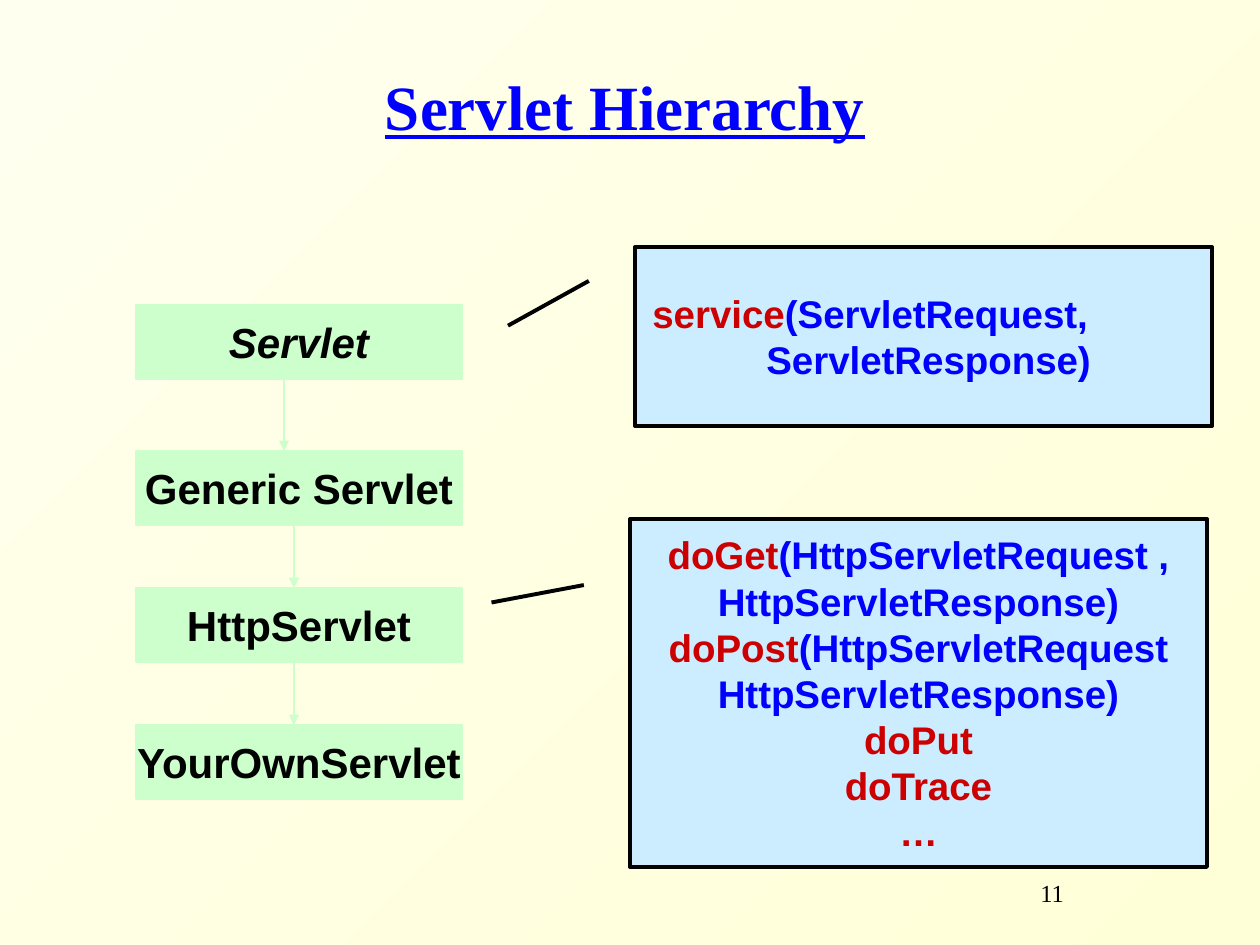
from pptx import Presentation
from pptx.dml.color import RGBColor
from pptx.enum.shapes import MSO_CONNECTOR as Connector, MSO_SHAPE as Shape
from pptx.enum.text import MSO_ANCHOR as Anchor, PP_ALIGN as Align
from pptx.oxml.ns import qn
from pptx.util import Emu, Pt
from lxml.etree import SubElement

COLORS = {
    "class": "CCFFCC",
    "callout": "CCECFF",
    "method": "CC0000",
    "blue": "0000FF",
    "black": "000000",
    "bg_dark": "FFFFD7",
    "bg_light": "FFFFEF",
}
BOX_LEFT, BOX_WIDTH, BOX_HEIGHT = 136, 326, 74
HIERARCHY = [
    ("YourOwnServlet", 725, 294),
    ("HttpServlet", 588, 294),
    ("Generic Servlet", 451, 284),
    ("Servlet", 305, None),
]
SERVICE = [[("service", "method"), ("(ServletRequest, ServletResponse)", "blue")]]
HTTP_METHODS = [
    [("doGet", "method"), ("(HttpServletRequest , HttpServletResponse)", "blue")],
    [("doPost", "method"), ("(HttpServletRequest HttpServletResponse)", "blue")],
    [("doPut", "method")],
    [("doTrace", "method")],
    [("…", "method")],
]


def px(length):
    return Emu(round(length * 914400 / 126))


def rgb(name):
    return RGBColor.from_string(COLORS[name])


def write(shape, paragraphs, size, font="Arial", align=Align.CENTER, anchor=Anchor.MIDDLE,
          bold=True, italic=False, underline=False, wrap=True, inset=6,
          margin=0, indent=0, spacing=None):
    frame = shape.text_frame
    frame.word_wrap = wrap
    frame.vertical_anchor = anchor
    frame.margin_top = frame.margin_bottom = px(inset)
    for index, pieces in enumerate(paragraphs):
        paragraph = frame.paragraphs[0] if index == 0 else frame.add_paragraph()
        paragraph.alignment = align
        if spacing:
            paragraph.line_spacing = spacing
        if margin:
            properties = paragraph._p.get_or_add_pPr()
            properties.set("marL", str(px(margin)))
            properties.set("indent", str(px(indent)))
        for words, color in pieces:
            run = paragraph.add_run()
            run.text = words
            run.font.name = font
            run.font.size = Pt(size)
            run.font.bold = bold
            run.font.italic = italic
            run.font.underline = underline
            run.font.color.rgb = rgb(color)


def add_label(slide, words, color, left, top, width, height, **style):
    label = slide.shapes.add_textbox(px(left), px(top), px(width), px(height))
    write(label, [[(words, color)]], font="Times New Roman", **style)


def add_panel(slide, preset, left, top, width, height, fill, line, weight):
    panel = slide.shapes.add_shape(preset, px(left), px(top), px(width), px(height))
    panel.shadow.inherit = False
    panel.fill.solid()
    panel.fill.fore_color.rgb = rgb(fill)
    panel.line.color.rgb = rgb(line)
    panel.line.width = Pt(weight)
    return panel


def add_class(slide, name, top):
    box = add_panel(slide, Shape.RECTANGLE, BOX_LEFT, top, BOX_WIDTH, BOX_HEIGHT,
                    "class", "class", 0.75)
    write(box, [[(name, "black")]], 24, italic=name == "Servlet", wrap=False)


def add_arrow(slide, x, bottom):
    arrow = slide.shapes.add_connector(Connector.STRAIGHT, px(x), px(bottom - BOX_HEIGHT),
                                       px(x), px(bottom))
    arrow.line.color.rgb = rgb("class")
    arrow.line.width = Pt(0.75)
    SubElement(arrow.line._get_or_add_ln(), qn("a:tailEnd"), type="triangle")
    SubElement(arrow._element.spPr, qn("a:effectLst"))


def add_callout(slide, methods, left, top, height, pointer, **style):
    callout = add_panel(slide, Shape.LINE_CALLOUT_1, left, top, 577, height,
                        "callout", "black", 2.25)
    for index, value in enumerate(pointer):
        callout.adjustments[index] = value
    write(callout, methods, 22, **style)


def paint_background(slide):
    fill = slide.background.fill
    fill.gradient()
    fill.gradient_angle = 135
    for stop, name in zip(fill.gradient_stops, ("bg_dark", "bg_light")):
        stop.color.rgb = rgb(name)


def main():
    deck = Presentation()
    deck.slide_width, deck.slide_height = px(1260), px(945)
    slide = deck.slides.add_slide(deck.slide_layouts[6])
    paint_background(slide)
    add_label(slide, "Servlet Hierarchy", "blue", 126, 53, 998, 116,
              size=36, underline=True, spacing=0.85)
    for name, top, arrow_x in HIERARCHY:
        add_class(slide, name, top)
        if arrow_x:
            add_arrow(slide, arrow_x, top)
    add_callout(slide, SERVICE, 635, 247, 179, (0.19, -0.08, 0.44, -0.22),
                align=Align.LEFT, margin=119, indent=-114)
    add_callout(slide, HTTP_METHODS, 630, 519, 348, (0.19, -0.08, 0.24, -0.24), inset=13)
    add_label(slide, "11", "black", 998, 872, 262, 63,
              size=14, bold=False, align=Align.LEFT, anchor=Anchor.TOP, margin=30)
    deck.save("out.pptx")


if __name__ == "__main__":
    main()
